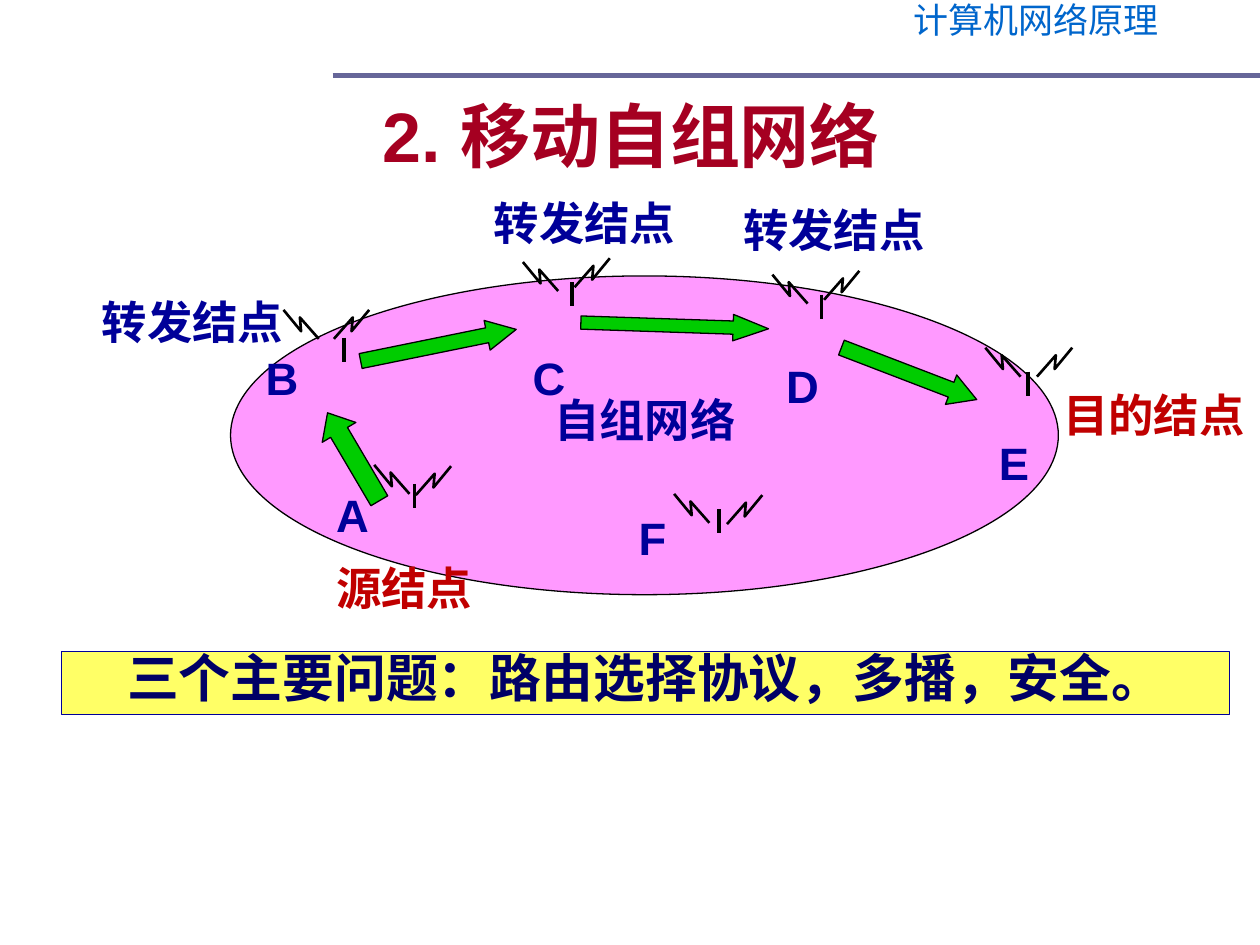
from lxml.etree import SubElement
from pptx import Presentation
from pptx.dml.color import RGBColor
from pptx.enum.shapes import MSO_CONNECTOR, MSO_SHAPE
from pptx.enum.text import MSO_ANCHOR, MSO_AUTO_SIZE, PP_ALIGN
from pptx.oxml.ns import qn
from pptx.util import Inches, Pt

NAVY, RED, BLACK, GREEN = "000099", "C00000", "000000", "00CC00"
BOLT = [(0.15, -0.17), (0.14, -0.06), (0.28, -0.23)]
MAST_HEIGHT = 0.19

LABELS = [
    ("自组网络", 4.3, 3.15, 1.65, NAVY),
    ("A", 2.57, 3.9, 0.46, NAVY),
    ("E", 7.83, 3.49, 0.44, NAVY),
    ("D", 6.14, 2.88, 0.46, NAVY),
    ("C", 4.13, 2.81, 0.46, NAVY),
    ("B", 2.01, 2.81, 0.46, NAVY),
    ("F", 4.97, 4.08, 0.42, NAVY),
    ("转发结点", 0.71, 2.37, 1.65, NAVY),
    ("转发结点", 3.82, 1.58, 1.65, NAVY),
    ("转发结点", 5.8, 1.64, 1.65, NAVY),
    ("源结点", 2.57, 4.48, 1.29, RED),
    ("目的结点", 8.34, 3.11, 1.65, RED),
]
ANTENNAS = [
    ((3.29, 3.84), (3.25, 3.92), (3.3, 3.93)),
    ((2.73, 2.68), (2.53, 2.69), (2.65, 2.69)),
    ((4.54, 2.24), (4.43, 2.31), (4.56, 2.28)),
    ((6.52, 2.34), (6.41, 2.41), (6.54, 2.38)),
    ((8.16, 2.95), (8.1, 2.99), (8.23, 2.99)),
    ((5.71, 4.04), (5.63, 4.15), (5.77, 4.16)),
]
ARROWS = [
    ((4.61, 2.48, 1.49, 0.21), 1.9, 1.34),
    ((6.64, 2.84, 1.15, 0.25), 21, 0.87),
    ((2.85, 2.62, 1.26, 0.24), 348.5, 0.98),
    ((2.4, 3.47, 0.81, 0.31), 239.5, 0.58),
]


def color(value):
    return RGBColor.from_string(value)


class SlideBuilder:
    latin = "Arial"
    east_asian = "Noto Sans CJK SC"

    def __init__(self, s):
        self.s = s

    def fill_text(self, sp, text, size, ink, bold=True, align=PP_ALIGN.LEFT,
                  wrap=False, spacing=0.8, anchor=MSO_ANCHOR.TOP, font=None,
                  grow=True):
        tf = sp.text_frame
        tf.word_wrap = wrap
        tf.auto_size = MSO_AUTO_SIZE.SHAPE_TO_FIT_TEXT if grow else MSO_AUTO_SIZE.NONE
        tf.vertical_anchor = anchor
        p = tf.paragraphs[0]
        p.alignment = align
        p.line_spacing = spacing
        r = p.add_run()
        r.text = text
        r.font.size = Pt(size)
        r.font.bold = bold
        r.font.color.rgb = color(ink)
        r.font.name = font or self.latin
        SubElement(r.font._element, qn("a:ea"), typeface=self.east_asian)

    def text(self, box, text, size, ink, **style):
        sp = self.s.shapes.add_textbox(*map(Inches, box))
        self.fill_text(sp, text, size, ink, **style)

    def shape(self, kind, box, fill, line=BLACK):
        sp = self.s.shapes.add_shape(kind, *map(Inches, box))
        sp.shadow.inherit = False
        sp.fill.solid()
        sp.fill.fore_color.rgb = color(fill)
        sp.line.color.rgb = color(line)
        sp.line.width = Pt(0.75)
        return sp

    def arrow(self, box, rotation, head):
        sp = self.shape(MSO_SHAPE.RIGHT_ARROW, box, GREEN)
        sp.rotation = rotation
        sp.adjustments[0] = 0.5
        sp.adjustments[1] = head

    def line(self, x1, y1, x2, y2, ink, width):
        c = self.s.shapes.add_connector(
            MSO_CONNECTOR.STRAIGHT, *map(Inches, (x1, y1, x2, y2)))
        c.line.color.rgb = color(ink)
        c.line.width = Pt(width)
        SubElement(c._element.spPr, qn("a:effectLst"))

    def bolt(self, x, y, side):
        fb = self.s.shapes.build_freeform(Inches(x), Inches(y))
        fb.add_line_segments(
            [(Inches(x + side * dx), Inches(y + dy)) for dx, dy in BOLT],
            close=False)
        sp = fb.convert_to_shape()
        sp.shadow.inherit = False
        sp.fill.background()
        sp.line.color.rgb = color(BLACK)
        sp.line.width = Pt(1.5)

    def antenna(self, mast, left, right):
        self.bolt(*left, -1)
        self.bolt(*right, 1)
        x, y = mast
        self.line(x, y, x, y + MAST_HEIGHT, BLACK, 2.25)


def main():
    prs = Presentation()
    prs.slide_width, prs.slide_height = Inches(10), Inches(7.5)
    b = SlideBuilder(prs.slides.add_slide(prs.slide_layouts[6]))

    b.text((6.73, 0, 2.99, 0.44), "计算机网络原理", 20, "0066CC", bold=False,
           align=PP_ALIGN.CENTER, font=b.east_asian, grow=False)
    b.line(2.64, 0.6, 10, 0.6, "666699", 3)
    b.text((0.51, 0.44, 9, 1.25), "2. 移动自组网络", 40, "A50021",
           align=PP_ALIGN.CENTER, wrap=True, spacing=1.0,
           anchor=MSO_ANCHOR.MIDDLE, grow=False)

    b.shape(MSO_SHAPE.OVAL, (1.83, 2.19, 6.57, 2.53), "FF99FF")
    for antenna in ANTENNAS:
        b.antenna(*antenna)
    for text, x, y, width, ink in LABELS:
        b.text((x, y, width, 0.45), text, 25.9, ink)
    for arrow in ARROWS:
        b.arrow(*arrow)

    banner = b.shape(MSO_SHAPE.RECTANGLE, (0.49, 5.17, 9.27, 0.5), "FFFF66", NAVY)
    b.fill_text(banner, "三个主要问题：路由选择协议，多播，安全。", 29.6, "000066",
                align=PP_ALIGN.CENTER, wrap=True)
    prs.save("out.pptx")


if __name__ == "__main__":
    main()
